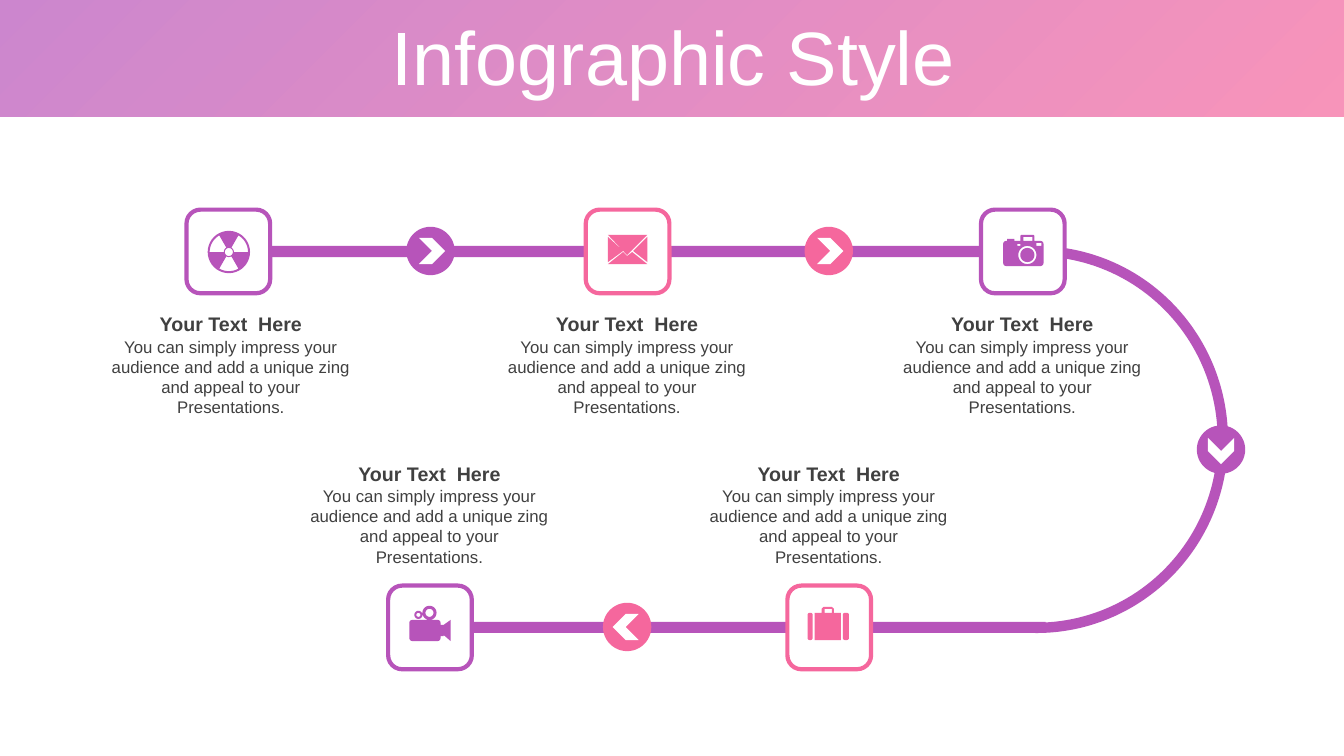
from dataclasses import dataclass
from math import cos, radians, sin

from lxml import etree
from pptx import Presentation
from pptx import util as u
from pptx.dml.color import RGBColor
from pptx.enum import shapes, text
from pptx.oxml import ns

Inches, Pt = u.Inches, u.Pt
KIND = shapes.MSO_SHAPE


@dataclass(frozen=True)
class Theme:
    purple: str = "B754BA"
    pink: str = "F5679D"
    white: str = "FFFFFF"
    ink: str = "404040"
    font: str = "Arial"
    title: int = 54
    head: int = 14
    body: int = 12
    line: int = 3


T = Theme()
HEAD = "Your Text  Here"
BODY = ("You can simply impress your audience and add a unique zing "
        "and appeal to your Presentations.")
CARD, BADGE, CHEVRON, BAR = 0.83, 0.48, 0.26, 0.11


# Contours for the icons, in inches
def arc(x, y, r, start, end, steps=12):
    angles = [radians(start + (end - start) * i / steps) for i in range(steps + 1)]
    return [(x + r * cos(a), y + r * sin(a)) for a in angles]


def ring(x, y, r):
    return arc(x, y, r, 0, 360, 40)


def box(x, y, w, h, r=0.0):
    if not r:
        return [(x, y), (x + w, y), (x + w, y + h), (x, y + h)]
    return (arc(x + r, y + r, r, 180, 270, 4) + arc(x + w - r, y + r, r, 270, 360, 4)
            + arc(x + w - r, y + h - r, r, 0, 90, 4) + arc(x + r, y + h - r, r, 90, 180, 4))


def wedge(x, y, start):
    return arc(x, y, 0.19, start, start + 60) + arc(x, y, 0.05, start + 60, start)


HAZARD = [ring(2.27, 2.5, 0.21), ring(2.27, 2.5, 0.04),
          *(wedge(2.27, 2.5, a) for a in (60, 180, 300))]
LETTER = [
    [(6.27, 2.5), (6.42, 2.62), (6.03, 2.62), (6.18, 2.5), (6.22, 2.54)],
    [(6.42, 2.35), (6.42, 2.6), (6.28, 2.49)],
    [(6.03, 2.35), (6.18, 2.49), (6.03, 2.6)],
    [(6.03, 2.33), (6.42, 2.33), (6.22, 2.53)],
]
CAMERA = [
    [(9.99, 2.39), (9.99, 2.37), (10.06, 2.37), (10.06, 2.39), (10.12, 2.39),
     (10.12, 2.34), (10.13, 2.33), (10.25, 2.33), (10.26, 2.34), (10.26, 2.39),
     *arc(10.32, 2.42, 0.03, 270, 360, 4), *arc(10.32, 2.61, 0.03, 0, 90, 4),
     *arc(9.98, 2.61, 0.03, 90, 180, 4), *arc(9.98, 2.42, 0.03, 180, 270, 4)],
    ring(10.19, 2.53, 0.09), ring(10.19, 2.53, 0.07),
    box(10.09, 2.42, 0.03, 0.02), box(10.28, 2.41, 0.05, 0.03),
    box(10.15, 2.35, 0.09, 0.04),
]
VIDEO = [
    box(4.06, 6.15, 0.31, 0.21, 0.03),
    [(4.37, 6.2), (4.4, 6.2), (4.47, 6.15), (4.47, 6.36), (4.4, 6.3),
     (4.4, 6.31), (4.37, 6.31)],
    ring(4.15, 6.1, 0.04), ring(4.15, 6.1, 0.02),
    ring(4.26, 6.08, 0.07), ring(4.26, 6.08, 0.04),
]
LUGGAGE = [
    box(8.01, 6.08, 0.05, 0.27, 0.02), box(8.36, 6.08, 0.06, 0.27, 0.02),
    [(8.08, 6.08), (8.15, 6.08), (8.15, 6.04), (8.17, 6.02), (8.25, 6.02),
     (8.27, 6.04), (8.27, 6.08), (8.34, 6.08), (8.34, 6.35), (8.08, 6.35)],
    box(8.18, 6.04, 0.07, 0.04),
]

# Card left and top, text left and top, colour, icon
STEPS = [
    (1.85, 2.08, 0.99, 3.05, T.purple, HAZARD),
    (5.81, 2.08, 4.92, 3.05, T.pink, LETTER),
    (9.73, 2.08, 8.84, 3.05, T.purple, CAMERA),
    (3.85, 5.81, 2.96, 4.53, T.purple, VIDEO),
    (7.81, 5.81, 6.92, 4.53, T.pink, LUGGAGE),
]
# Badge left and top, turn, colour
TURNS = [
    (4.03, 2.25, 0, T.purple),
    (7.98, 2.25, 0, T.pink),
    (5.98, 5.98, 180, T.pink),
    (11.87, 4.22, 90, T.purple),
]


def paint(item, color, line=None):
    item.shadow.inherit = False
    item.fill.solid()
    item.fill.fore_color.rgb = RGBColor.from_string(color)
    if line:
        item.line.color.rgb = RGBColor.from_string(line)
        item.line.width = Pt(T.line)
    else:
        item.line.fill.background()


def shape(slide, kind, x, y, w, h, color, line=None):
    item = slide.shapes.add_shape(kind, Inches(x), Inches(y), Inches(w), Inches(h))
    paint(item, color, line)
    return item


def label(slide, x, y, w, h, words, size, color=T.ink, bold=False):
    frame = slide.shapes.add_textbox(Inches(x), Inches(y), Inches(w), Inches(h)).text_frame
    frame.word_wrap = True
    para = frame.paragraphs[0]
    para.alignment = text.PP_ALIGN.CENTER
    run = para.add_run()
    run.text = words
    run.font.name, run.font.size, run.font.bold = T.font, Pt(size), bold
    run.font.color.rgb = RGBColor.from_string(color)
    return frame


def banner(slide):
    item = shape(slide, KIND.RECTANGLE, 0, 0, 13.33, 1.16, T.pink)
    item.fill.gradient()
    item.fill.gradient_angle = 135
    for stop, color in zip(item.fill.gradient_stops, (T.pink, T.purple)):
        stop.color.rgb = RGBColor.from_string(color)
    for tint in item.fill._xPr.iter(ns.qn("a:srgbClr")):
        etree.SubElement(tint, ns.qn("a:alpha")).set("val", "70000")
    frame = label(slide, 0.35, 0.21, 12.66, 0.79, "Infographic Style", T.title, T.white)
    frame.vertical_anchor = text.MSO_ANCHOR.MIDDLE
    frame.paragraphs[0].line_spacing = 0.9


def track(slide):
    bend = shape(slide, KIND.BLOCK_ARC, 8.38, 2.44, 3.8, 3.84, T.purple)
    for i, value in enumerate((161.27, 54.93, 0.027)):
        bend.adjustments[i] = value
    shape(slide, KIND.RECTANGLE, 2.15, 2.44, 8.23, BAR, T.purple)
    shape(slide, KIND.RECTANGLE, 4.25, 6.17, 6.12, BAR, T.purple)


def badge(slide, x, y, turn, color):
    shape(slide, KIND.OVAL, x, y, BADGE, BADGE, color)
    gap, push = (BADGE - CHEVRON) / 2, 0.015
    mark = shape(slide, KIND.CHEVRON, x + gap + push * cos(radians(turn)),
                 y + gap + push * sin(radians(turn)), CHEVRON, CHEVRON, T.white)
    mark.rotation = turn


def icon(slide, parts, color):
    pen = None
    for part in parts:
        first, *rest = [(Inches(x), Inches(y)) for x, y in part]
        if pen is None:
            pen = slide.shapes.build_freeform(*first)
        else:
            pen.move_to(*first)
        pen.add_line_segments(rest, close=True)
    paint(pen.convert_to_shape(), color)


def main():
    deck = Presentation()
    deck.slide_width, deck.slide_height = Inches(13.33), Inches(7.5)
    slide = deck.slides.add_slide(deck.slide_layouts[6])

    # Header and path
    banner(slide)
    track(slide)

    # Steps along the path
    for x, y, left, top, color, parts in STEPS:
        shape(slide, KIND.ROUNDED_RECTANGLE, x, y, CARD, CARD, T.white, color)
        icon(slide, parts, color)
        label(slide, left, top + 0.24, 2.6, 0.91, BODY, T.body)
        label(slide, left, top, 2.6, 0.34, HEAD, T.head, bold=True)

    # Direction badges
    for turn in TURNS:
        badge(slide, *turn)

    deck.save("out.pptx")


if __name__ == "__main__":
    main()
